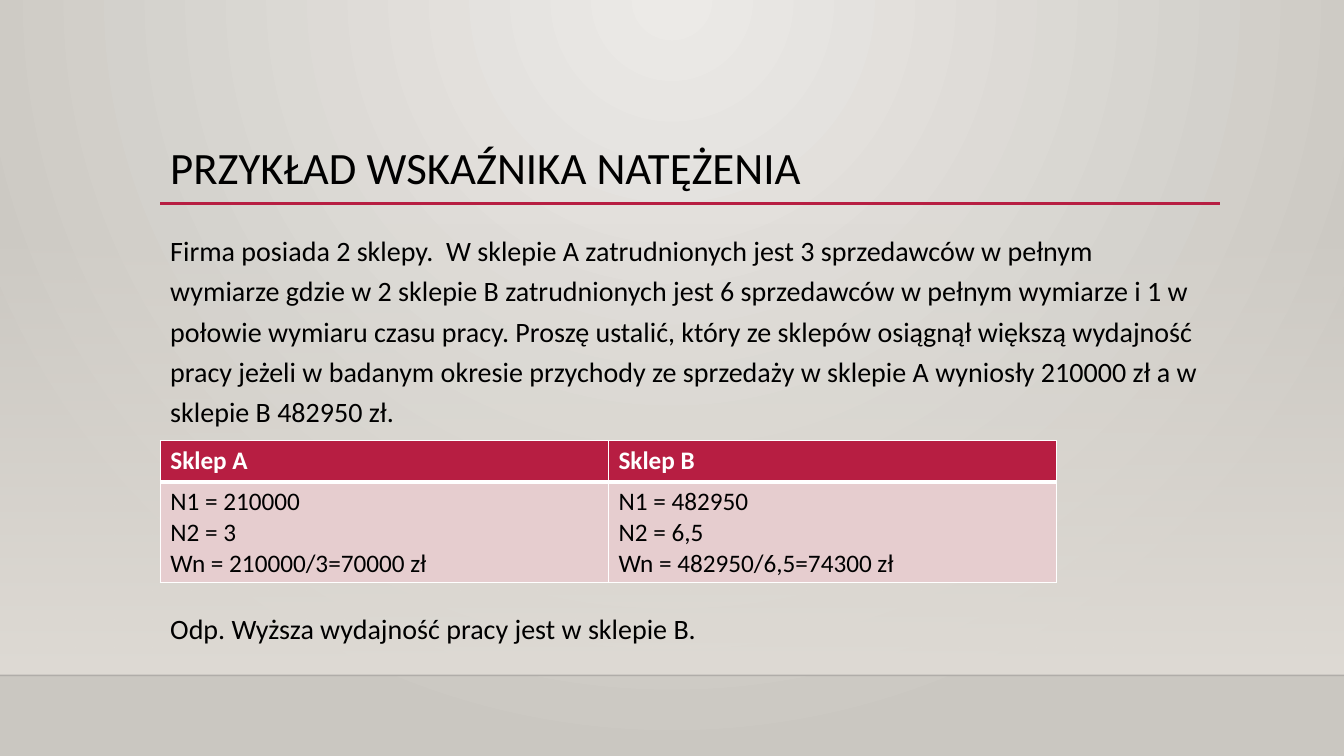
import pptx
import pptx.util
import pptx.dml.color
import pptx.enum.shapes
import pptx.enum.text
import pptx.oxml
import pptx.oxml.ns
from dataclasses import dataclass
from lxml import etree

WIDE, HIGH = 13.33, 7.5
LEFT, SPAN = 11.93, 78.77  # content column, percent of slide width
MIDDLE = pptx.enum.text.MSO_ANCHOR.MIDDLE
TOP = pptx.enum.text.MSO_ANCHOR.TOP

TITLE = "PRZYKŁAD WSKAŹNIKA NATĘŻENIA"
TASK = (
    "Firma posiada 2 sklepy.  W sklepie A zatrudnionych jest 3 sprzedawców w pełnym "
    "wymiarze gdzie w 2 sklepie B zatrudnionych jest 6 sprzedawców w pełnym wymiarze i 1 "
    "w połowie wymiaru czasu pracy. Proszę ustalić, który ze sklepów osiągnął większą "
    "wydajność pracy jeżeli w badanym okresie przychody ze sprzedaży w sklepie A wyniosły "
    "210000 zł a w sklepie B 482950 zł."
)
ANSWER = "Odp. Wyższa wydajność pracy jest w sklepie B."
SHOPS = [
    ["Sklep A", "Sklep B"],
    ["N1 = 210000\nN2 = 3\nWn = 210000/3=70000 zł",
     "N1 = 482950\nN2 = 6,5\nWn = 482950/6,5=74300 zł"],
]


@dataclass
class Theme:
    font: str = "Calibri"
    ink: str = "000000"
    edge: str = "000001"
    white: str = "FFFFFF"
    red: str = "B71E42"
    pink: str = "E6CDCF"
    glow: str = "ECEAE7"
    stone: str = "CAC7C1"
    sand: str = "DFDBD5"
    title: int = 32
    body: int = 20
    cell: int = 18


theme = Theme()


def across(share):
    return pptx.util.Inches(WIDE * share / 100)


def down(share):
    return pptx.util.Inches(HIGH * share / 100)


def frame(left, top, width, height):
    return across(left), down(top), across(width), down(height)


def color(code):
    return pptx.dml.color.RGBColor.from_string(code)


def apply(target, values):
    for name, value in values.items():
        setattr(target, name, value)


def child(parent, tag, **values):
    return etree.SubElement(parent, pptx.oxml.ns.qn(tag), values)


def fade(node, share):
    """Set the opacity, in percent, of the first colour in node."""
    tint = node.find(".//" + pptx.oxml.ns.qn("a:srgbClr"))
    child(tint, "a:alpha", val=str(share * 1000))


def blend(fill, first, last):
    fill.gradient()
    for stop, code, place in zip(fill.gradient_stops, (first, last), (0, 1)):
        stop.color.rgb = color(code)
        stop.position = place


def backdrop(slide):
    blend(slide.background.fill, theme.glow, theme.stone)
    grad = slide._element.find(".//" + pptx.oxml.ns.qn("a:gradFill"))
    grad.remove(grad.find(pptx.oxml.ns.qn("a:lin")))
    ring = child(grad, "a:path", path="circle")
    child(ring, "a:fillToRect", l="43000", t="0", r="43000", b="100000")


def wall(slide, place):
    kind = pptx.enum.shapes.MSO_SHAPE.RECTANGLE
    shape = slide.shapes.add_shape(kind, *frame(*place))
    shape.shadow.inherit = False
    shape.line.fill.background()
    blend(shape.fill, theme.sand, theme.sand)
    shape.fill.gradient_angle = 270
    fade(shape._element, 0)


def rule(slide, start, end, level, code, weight):
    kind = pptx.enum.shapes.MSO_CONNECTOR.STRAIGHT
    line = slide.shapes.add_connector(
        kind, across(start), down(level), across(end), down(level))
    line.line.color.rgb = color(code)
    line.line.width = pptx.util.Pt(weight)
    child(line._element.spPr, "a:effectLst")
    return line


def style(para, size, code, bold=False):
    apply(para.font, {"name": theme.font, "size": pptx.util.Pt(size), "bold": bold})
    para.font.color.rgb = color(code)


def text(slide, place, parts, size, lead, anchor):
    """Write (words, space before) pairs as the paragraphs of one box."""
    box = slide.shapes.add_textbox(*frame(*place)).text_frame
    apply(box, {"word_wrap": True, "vertical_anchor": anchor})
    box.text = "\n".join(words for words, gap in parts)
    for para, (words, gap) in zip(box.paragraphs, parts):
        apply(para, {"line_spacing": lead, "space_before": pptx.util.Pt(gap)})
        style(para, size, theme.ink)


def border(cell, weights):
    props = cell._tc.get_or_add_tcPr()
    for side, weight in weights.items():
        line = child(props, "a:ln" + side, w=str(pptx.util.Pt(weight)))
        child(child(line, "a:solidFill"), "a:srgbClr", val=theme.white)


def grid(slide, place, rows, heights):
    table = slide.shapes.add_table(len(rows), len(rows[0]), *frame(*place)).table
    table.horz_banding = False
    looks = [
        (theme.red, theme.white, True, {"L": 1, "R": 1, "T": 1, "B": 3}),
        (theme.pink, theme.ink, False, {"L": 1, "R": 1, "T": 3, "B": 1}),
    ]
    for row, words, height, look in zip(table.rows, rows, heights, looks):
        row.height = down(height)
        fill, ink, bold, edges = look
        for cell, word in zip(row.cells, words):
            cell.text = word
            border(cell, edges)
            cell.fill.solid()
            cell.fill.fore_color.rgb = color(fill)
            for para in cell.text_frame.paragraphs:
                style(para, theme.cell, ink, bold)


def main():
    deck = pptx.Presentation()
    apply(deck, {"slide_width": across(100), "slide_height": down(100)})
    slide = deck.slides.add_slide(deck.slide_layouts[6])

    # Wall, floor edge and title rule
    backdrop(slide)
    wall(slide, (0, 29.47, 100, 59.87))
    floor = rule(slide, 0, 100, 89.33, theme.edge, 1)
    fade(floor._element, 20)
    rule(slide, LEFT, 90.77, 26.93, theme.red, 2.5)

    # Title, task and answer
    text(slide, (LEFT, 18.13, SPAN, 8.8), [(TITLE, 0)], theme.title, 0.9, MIDDLE)
    text(slide, (LEFT, 29.33, SPAN, 58.93), [(TASK, 10), (ANSWER, 126)],
         theme.body, 1.2, TOP)

    # Shop figures
    grid(slide, (LEFT, 58.27, 66.69, 18.8), SHOPS, (5.47, 13.33))
    deck.save("out.pptx")


if __name__ == "__main__":
    main()
